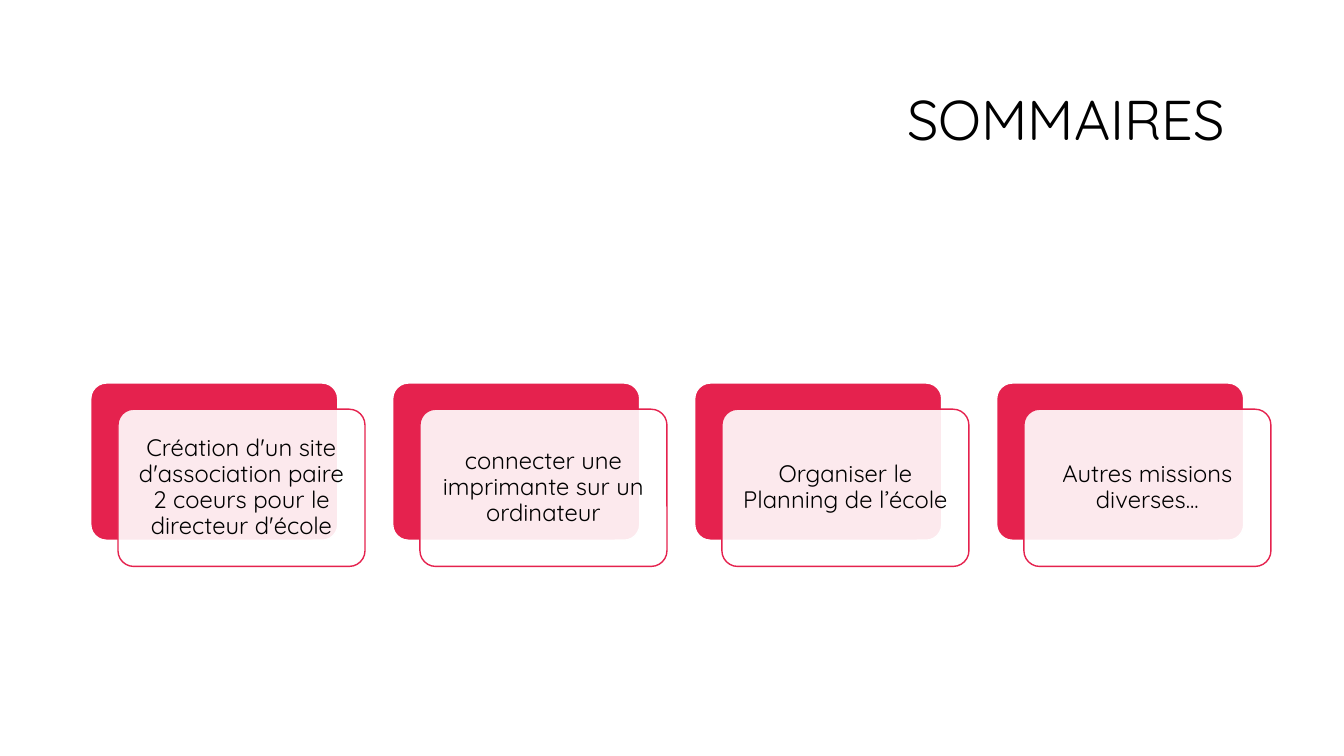
from pptx import Presentation
from pptx import util as u
from pptx.dml.color import RGBColor
from pptx.enum import shapes, text
from pptx.oxml.ns import qn
from lxml import etree

RED = RGBColor(0xE5, 0x22, 0x4E)
WHITE = RGBColor(0xFF, 0xFF, 0xFF)
BLACK = RGBColor(0, 0, 0)

MISSIONS = [
    "Création d'un site d'association paire 2 coeurs pour le directeur d'école",
    "connecter une imprimante sur un ordinateur",
    "Organiser le Planning de l’école",
    "Autres missions diverses...",
]
CARD_LEFT, CARD_TOP, CARD_STEP = 0.9, 3.8, 2.995
CARD_WIDTH, CARD_HEIGHT = 2.45, 1.56
FRONT_SHIFT_X, FRONT_SHIFT_Y = 0.27, 0.26


class SummarySlide:
    """Holds the summary slide and its style, and draws each kind of element."""

    font_name = "Quicksand"

    def __init__(self, deck):
        self.slide = deck.slides.add_slide(deck.slide_layouts[5])

    def set_text(self, frame, wording, size, alignment):
        frame.text = wording
        frame.word_wrap = True
        frame.auto_size = text.MSO_AUTO_SIZE.NONE
        frame.vertical_anchor = text.MSO_ANCHOR.MIDDLE
        paragraph = frame.paragraphs[0]
        paragraph.alignment = alignment
        paragraph.line_spacing = 0.9
        style = {"name": self.font_name, "size": u.Pt(size)}
        for attribute, value in style.items():
            setattr(paragraph.font, attribute, value)
        paragraph.font.color.rgb = BLACK

    def title(self, wording):
        heading = self.slide.shapes.title
        place = {"left": 1.24, "top": 0.54, "width": 11.01, "height": 1.34}
        for attribute, value in place.items():
            setattr(heading, attribute, u.Inches(value))
        self.set_text(heading.text_frame, wording, 40, text.PP_ALIGN.RIGHT)

    def card(self, left, top, fill, line):
        card = self.slide.shapes.add_shape(
            shapes.MSO_SHAPE.ROUNDED_RECTANGLE,
            *map(u.Inches, (left, top, CARD_WIDTH, CARD_HEIGHT)))
        card.adjustments[0] = 0.1
        card.shadow.inherit = False
        card.fill.solid()
        card.fill.fore_color.rgb = fill
        card.line.color.rgb = line
        card.line.width = u.Pt(1)
        return card

    def mission(self, left, wording):
        self.card(left, CARD_TOP, RED, WHITE)
        front = self.card(left + FRONT_SHIFT_X, CARD_TOP + FRONT_SHIFT_Y, WHITE, RED)
        white_fill = front.element.spPr.find(qn("a:solidFill"))[0]
        etree.SubElement(white_fill, qn("a:alpha"), val="90000")
        for side in ("left", "top", "right", "bottom"):
            setattr(front.text_frame, f"margin_{side}", u.Inches(0.07))
        self.set_text(front.text_frame, wording, 17, text.PP_ALIGN.CENTER)


def main():
    deck = Presentation()
    deck.slide_width, deck.slide_height = u.Inches(13.33), u.Inches(7.5)
    summary = SummarySlide(deck)
    summary.title("SOMMAIRES")
    for index, wording in enumerate(MISSIONS):
        summary.mission(CARD_LEFT + index * CARD_STEP, wording)
    deck.save("out.pptx")


if __name__ == "__main__":
    main()
